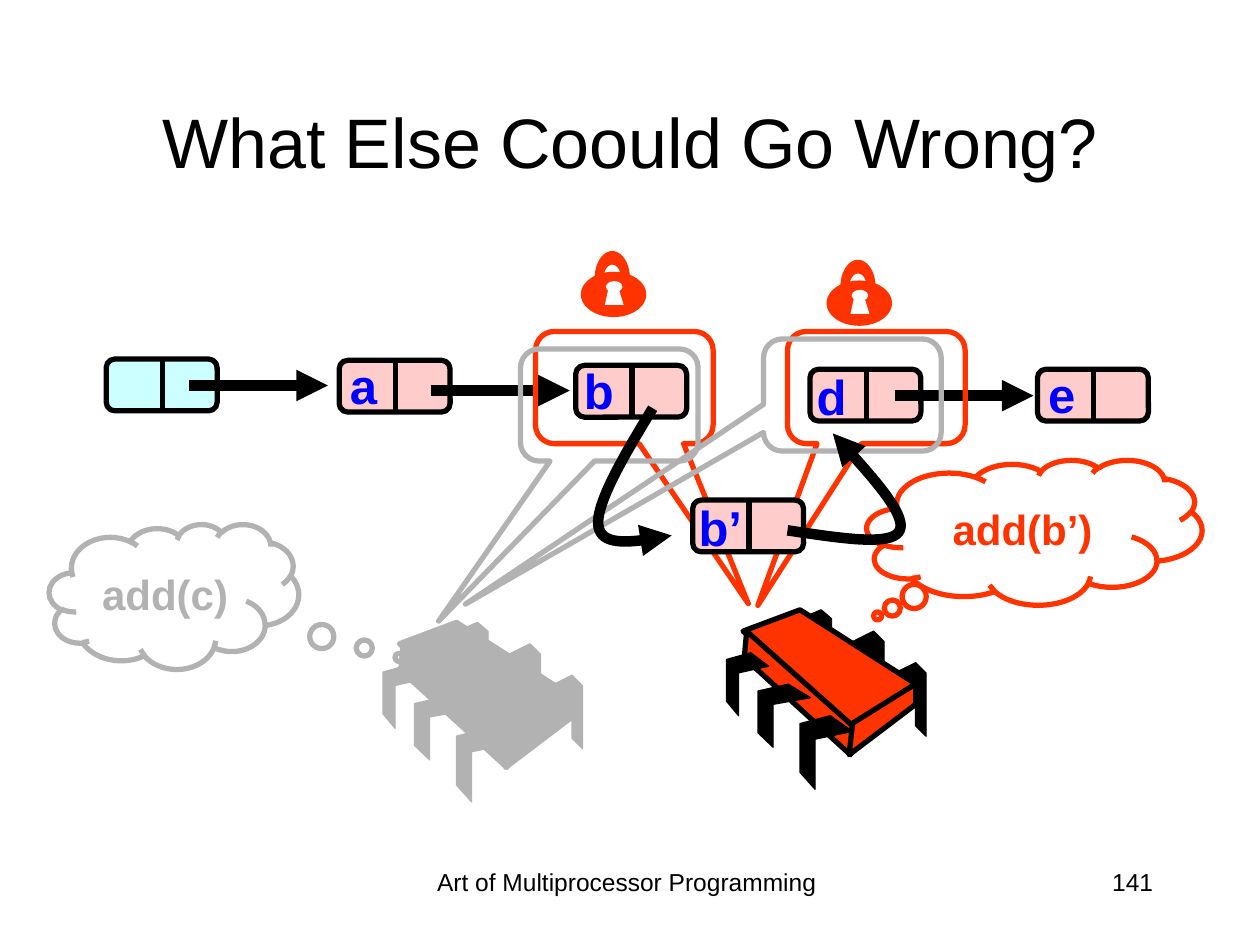
from math import cos, pi, sin

from lxml import etree
from pptx import Presentation
from pptx.dml.color import RGBColor
from pptx.enum.shapes import MSO_CONNECTOR, MSO_SHAPE
from pptx.enum.text import MSO_ANCHOR, PP_ALIGN
from pptx.oxml.ns import qn
from pptx.util import Pt

STRAIGHT = MSO_CONNECTOR.STRAIGHT
ROUNDED = MSO_SHAPE.ROUNDED_RECTANGLE
OVAL = MSO_SHAPE.OVAL
CLOUD = MSO_SHAPE.CLOUD_CALLOUT
BUBBLE = MSO_SHAPE.ROUNDED_RECTANGULAR_CALLOUT
MIDDLE, TOP = MSO_ANCHOR.MIDDLE, MSO_ANCHOR.TOP
LEFT, CENTER, RIGHT = PP_ALIGN.LEFT, PP_ALIGN.CENTER, PP_ALIGN.RIGHT

COLORS = {"black": "000000", "white": "FFFFFF", "gray": "B2B2B2", "red": "FF3300",
          "blue": "0000FF", "pink": "FFCCCC", "aqua": "CCFFFF"}
TITLE = ("What Else Coould Go Wrong?", (54, 35.3, 612, 90))
FOOTERS = [("Art of Multiprocessor Programming", (223.2, 491.8, 270, 36), CENTER),
           ("141", (516.2, 491.8, 149.8, 36), RIGHT)]

NODE_WIDTH, NODE_HEIGHT, DIVIDER = 63.4, 29.6, 32.2
# label, node left and top, label offset and width
LIST_NODES = [("", 60.7, 205.2, 0, 0, 0), ("b", 329, 208.8, -2.9, -6.5, 31.7),
              ("d", 462.8, 211, -3.6, -5, 31.7), ("e", 592.8, 211, -1.4, -6.5, 30.2),
              ("a", 193.8, 205.9, -1.4, -6.5, 30.2)]
NEW_NODE = ("b’", 395.8, 285.8, -4.3, -5, 39.6)
ARROW_STARTS, ARROW_LENGTH = [(108, 220.3), (511.2, 226.1), (246.2, 223.2)], 79.4

CLOUDS = {"gray": ("add(c)", (28.1, 299.5, 142.6, 82.8), (0.902, 0.42)),
          "red": ("add(b’)", (495.4, 262.8, 191.5, 82.8), (-0.468, 0.577))}
BUBBLE_SIZE = (101.5, 64.1)
BUBBLES = [("red", 306, 189.4, (0.698, 1.927, 0.167)),
           ("red", 450, 189.4, (-0.667, 1.942, 0.167)),
           ("gray", 297.4, 199.4, (-0.961, 1.927, 0.167)),
           ("gray", 436.3, 193.7, (-2.179, 1.865, 0.167))]

LOCKS = [(472.3, 148.3), (331.9, 143.3)]
KEYHOLE = [(13.7, 31), (15.8, 21.6), (21.6, 21.6), (24.5, 31)]
CHIPS = {"gray": (218.9, 355.7, "gray"), "red": (415.2, 348.5, "black")}
BACK_LEG = [(0, 6), (12, 0), (18, 6), (18, 42), (12, 36), (12, 12), (0, 18)]
FRONT_LEG = [(17.3, 0), (30, 9), (8.6, 13.4), (8.6, 42), (0, 32.4), (0, 4.5)]
# left, top, horizontal and vertical scale
BACK_LEGS = [(96, 30.2, 1, 1), (72, 12.2, 1, 1), (42, 0, 1, 6 / 7)]
FRONT_LEGS = [(42, 60.5, 1, 1), (18, 42.5, 1, 6 / 7), (0, 24.5, 0.8, 6 / 7)]
FACES = [[(42, 0), (108, 42.3), (70.8, 67), (9.4, 12.2)],
         [(11.5, 12.2), (72, 66.2), (70.8, 82.8), (10.1, 27.4)],
         [(108, 42.3), (108, 54), (70, 82.8), (72, 64.8)]]
CURVES = [[(373, 233.3), (356.4, 260.6), (339.8, 288.7), (342, 301),
           (344.2, 313.2), (363.6, 309.6), (383.8, 306)],
          [(450, 303.1), (479.5, 307.4), (509.8, 312.5), (514.1, 303.1),
           (518.4, 293.8), (496.8, 270.7), (475.9, 247.7)]]


def color(name):
    """Return the named colour."""
    return RGBColor.from_string(COLORS[name])


def add_tail(shape):
    """Put a triangular arrowhead at the end of a line."""
    etree.SubElement(shape.element.spPr.find(qn("a:ln")), qn("a:tailEnd"), type="triangle")


def paint(shape, fill=None, line=None, width=3):
    """Set the fill, line and missing shadow of a shape."""
    shape.shadow.inherit = False
    for part, name in ((shape.fill, fill), (shape.line.fill, line)):
        if name:
            part.solid()
            part.fore_color.rgb = color(name)
        else:
            part.background()
    if line:
        shape.line.width = Pt(width)


def write(shape, text, size, name="black", bold=False, align=CENTER, anchor=MIDDLE, wrap=True):
    """Write one formatted paragraph into a shape."""
    frame = shape.text_frame
    frame.text = text
    frame.word_wrap, frame.vertical_anchor = wrap, anchor
    paragraph = frame.paragraphs[0]
    paragraph.alignment = align
    for key, value in {"name": "Arial", "size": Pt(size), "bold": bold}.items():
        setattr(paragraph.font, key, value)
    paragraph.font.color.rgb = color(name)


def add_preset(shapes, kind, box, adjustments=(), **style):
    """Add a painted preset shape."""
    shape = shapes.add_shape(kind, *map(Pt, box))
    for index, value in enumerate(adjustments):
        shape.adjustments[index] = value
    paint(shape, **style)
    return shape


def add_outline(shapes, points, origin=(0, 0), scale=(1, 1), close=True, **style):
    """Add a painted freeform moved to an origin."""
    placed = [tuple(Pt(o + p * s) for o, p, s in zip(origin, point, scale)) for point in points]
    builder = shapes.build_freeform(*placed[0])
    builder.add_line_segments(placed[1:], close=close)
    shape = builder.convert_to_shape()
    paint(shape, **style)
    return shape


def add_line(shapes, start, end, width):
    """Add a straight black line."""
    line = shapes.add_connector(STRAIGHT, *map(Pt, start + end))
    line.line.color.rgb = color("black")
    line.line.width = Pt(width)
    etree.SubElement(line.element.spPr, qn("a:effectLst"))
    return line


def add_node(shapes, label, left, top, label_left, label_top, label_width):
    """Add a two-cell list node with its label."""
    add_preset(shapes, ROUNDED, (left, top, NODE_WIDTH, NODE_HEIGHT), (0.167,),
               fill="pink" if label else "aqua", line="black")
    middle = left + DIVIDER
    add_line(shapes, (middle, top), (middle, top + NODE_HEIGHT), 3)
    if label:
        box = (left + label_left, top + label_top, label_width, 41)
        write(shapes.add_textbox(*map(Pt, box)), label, 28, "blue", True, RIGHT, TOP, False)


def add_chip(shapes, name):
    """Add a six-legged processor."""
    left, top, edge = CHIPS[name]

    def add_legs(leg, places):
        for x, y, *scale in places:
            add_outline(shapes, leg, (left + x, top + y), scale, fill=edge, line=edge, width=0.75)

    add_legs(BACK_LEG, BACK_LEGS)
    for face in FACES:
        add_outline(shapes, face, (left, top), fill=name, line=edge)
    add_legs(FRONT_LEG, FRONT_LEGS)


def add_cloud(shapes, name):
    """Add a thought cloud with a method call."""
    text, box, adjustments = CLOUDS[name]
    write(add_preset(shapes, CLOUD, box, adjustments, line=name), text, 24, name, True)


def add_lock(shapes, left, top):
    """Add a padlock."""
    def arc(x_radius, y_radius):
        angles = [pi * step / 24 for step in range(25)]
        return [(18 - x_radius * cos(a), 15.8 - y_radius * sin(a)) for a in angles]

    add_preset(shapes, OVAL, (left, top + 12, 37.4, 25.9), fill="red")
    add_preset(shapes, OVAL, (left + 14.4, top + 17.3, 9.4, 6.5), fill="white")
    add_outline(shapes, KEYHOLE, (left, top), fill="white")
    add_outline(shapes, arc(10.1, 15.6) + arc(5, 7.8)[::-1], (left, top), fill="red")


def bezier(points, steps=24):
    """Return points along joined cubic curves."""
    result = [points[0]]
    for first in range(0, len(points) - 1, 3):
        for step in range(1, steps + 1):
            t = step / steps
            weights = ((1 - t) ** 3, 3 * t * (1 - t) ** 2, 3 * t * t * (1 - t), t ** 3)
            result.append(tuple(sum(w * p[axis] for w, p in zip(weights, points[first:first + 4]))
                                for axis in (0, 1)))
    return result


def main():
    """Build and save the slide."""
    presentation = Presentation()
    presentation.slide_width, presentation.slide_height = Pt(720), Pt(540)
    slide = presentation.slides.add_slide(presentation.slide_layouts[5])
    shapes = slide.shapes
    text, box = TITLE
    for key, value in zip(("left", "top", "width", "height"), box):
        setattr(shapes.title, key, Pt(value))
    write(shapes.title, text, 40)
    for text, box, align in FOOTERS:
        write(shapes.add_textbox(*map(Pt, box)), text, 14, align=align, anchor=TOP)
    for node in LIST_NODES:
        add_node(shapes, *node)
    for x, y in ARROW_STARTS:
        add_tail(add_line(shapes, (x, y), (x + ARROW_LENGTH, y), 6))
    add_chip(shapes, "gray")
    add_cloud(shapes, "gray")
    for lock in LOCKS:
        add_lock(shapes, *lock)
    add_chip(shapes, "red")
    add_cloud(shapes, "red")
    for name, left, top, adjustments in BUBBLES:
        add_preset(shapes, BUBBLE, (left, top, *BUBBLE_SIZE), adjustments, line=name)
    add_node(shapes, *NEW_NODE)
    for curve in CURVES:
        add_tail(add_outline(shapes, bezier(curve), close=False, line="black", width=6))
    presentation.save("out.pptx")


if __name__ == "__main__":
    main()
